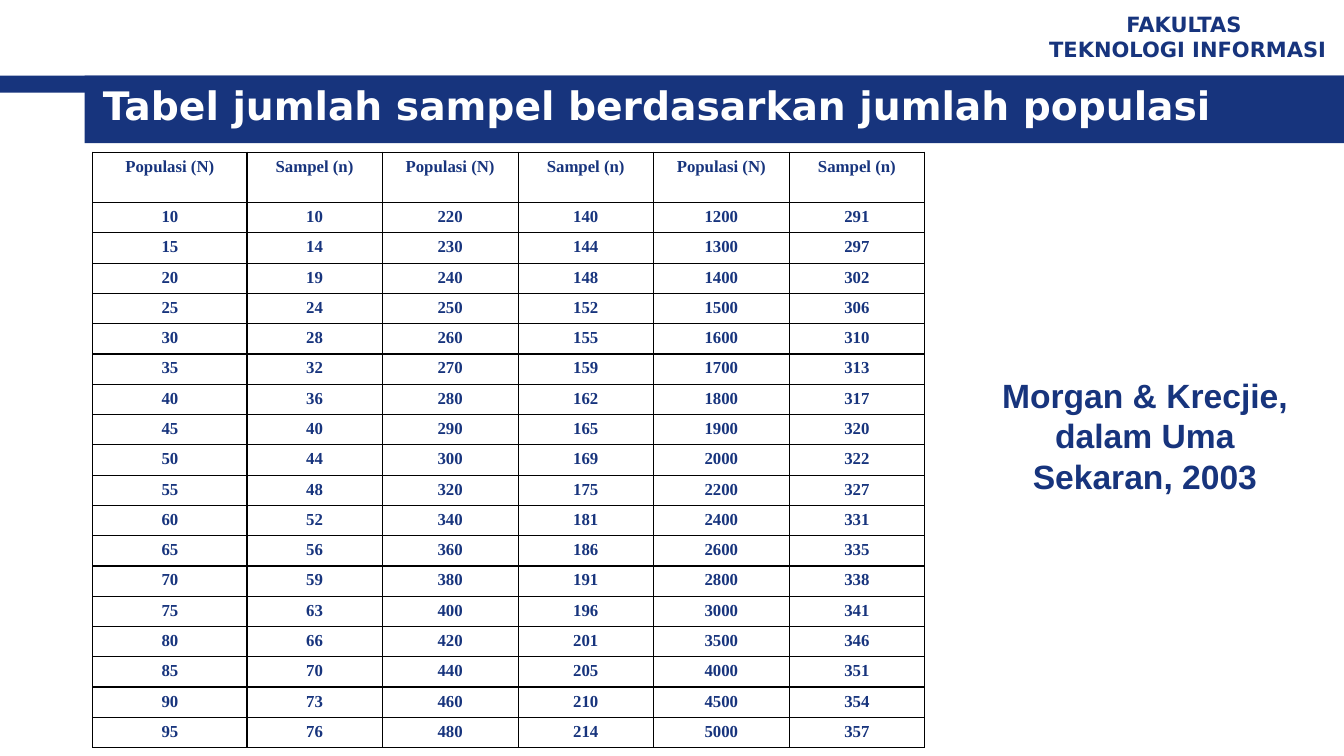
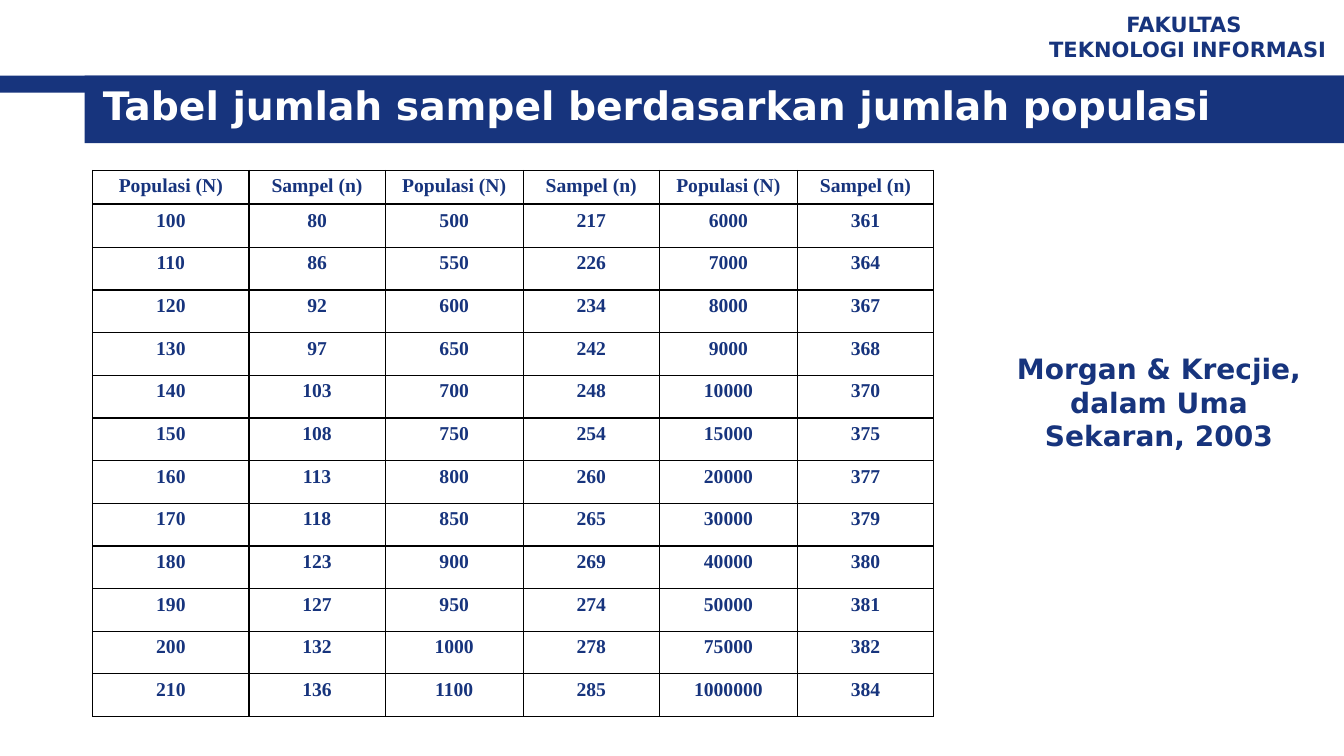
from lxml import etree
from pptx import Presentation
from pptx.dml.color import RGBColor
from pptx.enum.shapes import MSO_SHAPE, PP_PLACEHOLDER
from pptx.enum.text import MSO_ANCHOR, MSO_AUTO_SIZE, PP_ALIGN
from pptx.oxml.ns import qn
from pptx.util import Inches, Pt

NAVY = RGBColor(0x17, 0x34, 0x7D)
WHITE = RGBColor(0xFF, 0xFF, 0xFF)
BLACK = RGBColor(0, 0, 0)
SANS, SERIF, ARIAL = "DejaVu Sans", "Times New Roman", "Arial"
LEFT, CENTER = PP_ALIGN.LEFT, PP_ALIGN.CENTER
TOP, MIDDLE = MSO_ANCHOR.TOP, MSO_ANCHOR.MIDDLE
FIT, FIXED = MSO_AUTO_SIZE.SHAPE_TO_FIT_TEXT, MSO_AUTO_SIZE.NONE
RECT = MSO_SHAPE.RECTANGLE
TITLE = PP_PLACEHOLDER.TITLE

HEADING = "Tabel jumlah sampel berdasarkan jumlah populasi"
CREDIT = "Morgan & Krecjie, dalam Uma Sekaran, 2003"
HEAD = ["Populasi (N)", "Sampel (n)"] * 3
SMALL = [
    range(10, 100, 5),
    [10, 14, 19, 24, 28, 32, 36, 40, 44, 48, 52, 56, 59, 63, 66, 70, 73, 76],
    [*range(220, 301, 10), *range(320, 481, 20)],
    [140, 144, 148, 152, 155, 159, 162, 165, 169,
     175, 181, 186, 191, 196, 201, 205, 210, 214],
    [*range(1200, 2001, 100), *range(2200, 3001, 200), *range(3500, 5001, 500)],
    [291, 297, 302, 306, 310, 313, 317, 320, 322,
     327, 331, 335, 338, 341, 346, 351, 354, 357],
]
LARGE = [
    range(100, 211, 10),
    [80, 86, 92, 97, 103, 108, 113, 118, 123, 127, 132, 136],
    [*range(500, 1001, 50), 1100],
    [217, 226, 234, 242, 248, 254, 260, 265, 269, 274, 278, 285],
    [*range(6000, 10001, 1000), 15000, 20000, 30000, 40000, 50000, 75000, 1000000],
    [361, 364, 367, 368, 370, 375, 377, 379, 380, 381, 382, 384],
]


def place(box):
    """Turn a box in inches into lengths."""
    return [Inches(side) for side in box]


def write(frame, text, size=12, font=SANS, color=NAVY, align=CENTER):
    """Fill a text frame with bold text, one paragraph a line."""
    for count, line in enumerate(text.split("\n")):
        para = frame.add_paragraph() if count else frame.paragraphs[0]
        para.alignment = align
        run = para.add_run()
        run.text = line
        run.font.size = Pt(size)
        run.font.name = font
        run.font.bold = True
        run.font.color.rgb = color


def label(slide, box, text, anchor=TOP, fit=FIT, **form):
    """Add a wrapping text box."""
    shape = slide.shapes.add_textbox(*place(box))
    frame = shape.text_frame
    frame.word_wrap = True
    frame.auto_size = fit
    frame.vertical_anchor = anchor
    write(frame, text, **form)
    return shape


def band(slide, box):
    """Add a plain navy band."""
    shape = slide.shapes.add_shape(RECT, *place(box))
    shape.shadow.inherit = False
    shape.fill.solid()
    shape.fill.fore_color.rgb = NAVY
    shape.line.fill.background()
    return shape


def brand(slide):
    """Move the bands and faculty name to the layout of the slide."""
    layout = slide.slide_layout
    for item in list(layout.placeholders):
        if item.placeholder_format.type != TITLE:
            layout.shapes.element.remove(item.element)
    parts = [
        band(slide, (0, 0.75, 13.33, 0.17)),
        band(slide, (0.84, 0.75, 12.5, 0.67)),
        label(slide, (10.23, 0.05, 3.1, 0.62), "FAKULTAS \nTEKNOLOGI INFORMASI",
              anchor=MIDDLE, fit=FIXED, size=15),
    ]
    for part in parts:
        layout.shapes.element.append(part.element)


def head(slide):
    """Set the title in its band."""
    title = slide.shapes.title
    title.left, title.top, title.width, title.height = place((0.92, 0.76, 11.36, 0.57))
    frame = title.text_frame
    frame.word_wrap = False
    frame.auto_size = FIT
    frame.vertical_anchor = MIDDLE
    write(frame, HEADING, size=28, color=WHITE, align=LEFT)


def border(cell):
    """Draw a thin black line on each side of a cell."""
    props = cell._tc.get_or_add_tcPr()
    for spot, side in enumerate(("a:lnL", "a:lnR", "a:lnT", "a:lnB")):
        line = etree.Element(qn(side), w=str(Pt(1)))
        fill = etree.SubElement(line, qn("a:solidFill"))
        etree.SubElement(fill, qn("a:srgbClr"), val=str(BLACK))
        props.insert(spot, line)


def grid(slide, rows, box, cols, size, top=None):
    """Add a ruled table, with a first row of its own height if given."""
    table = slide.shapes.add_table(len(rows), len(cols), *place(box)).table
    table.first_row = False
    table.horz_banding = False
    for col, width in zip(table.columns, cols):
        col.width = Inches(width)
    if top:
        rest = (box[3] - top) / (len(rows) - 1)
        for count, row in enumerate(table.rows):
            row.height = Inches(rest if count else top)
    for line, row in zip(rows, table.rows):
        for value, cell in zip(line, row.cells):
            cell.fill.background()
            border(cell)
            write(cell.text_frame, str(value), size=size, font=SERIF)


def main():
    """Build both slides and save them."""
    deck = Presentation()
    deck.slide_width, deck.slide_height = Inches(13.33), Inches(7.5)
    layout = deck.slide_layouts[5]

    first = deck.slides.add_slide(layout)
    brand(first)
    head(first)
    grid(first, [HEAD, *zip(*SMALL)], (0.92, 1.51, 8.25, 5.91),
         [1.53, 1.34, 1.35, 1.34, 1.35, 1.34], 12, top=0.5)
    label(first, (9.66, 3.67, 3.39, 1.31), CREDIT, size=24, font=ARIAL)

    second = deck.slides.add_slide(layout)
    head(second)
    cols = [1.55, 1.35, 1.37, 1.35, 1.37, 1.35]
    grid(second, list(zip(*LARGE)), (0.92, 2.03, 8.33, 5.08), cols, 14)
    grid(second, [HEAD], (0.92, 1.69, 8.33, 0.33), cols, 14)
    label(second, (9.82, 3.44, 3.35, 1.11), CREDIT, size=20)

    deck.save("out.pptx")


main()
